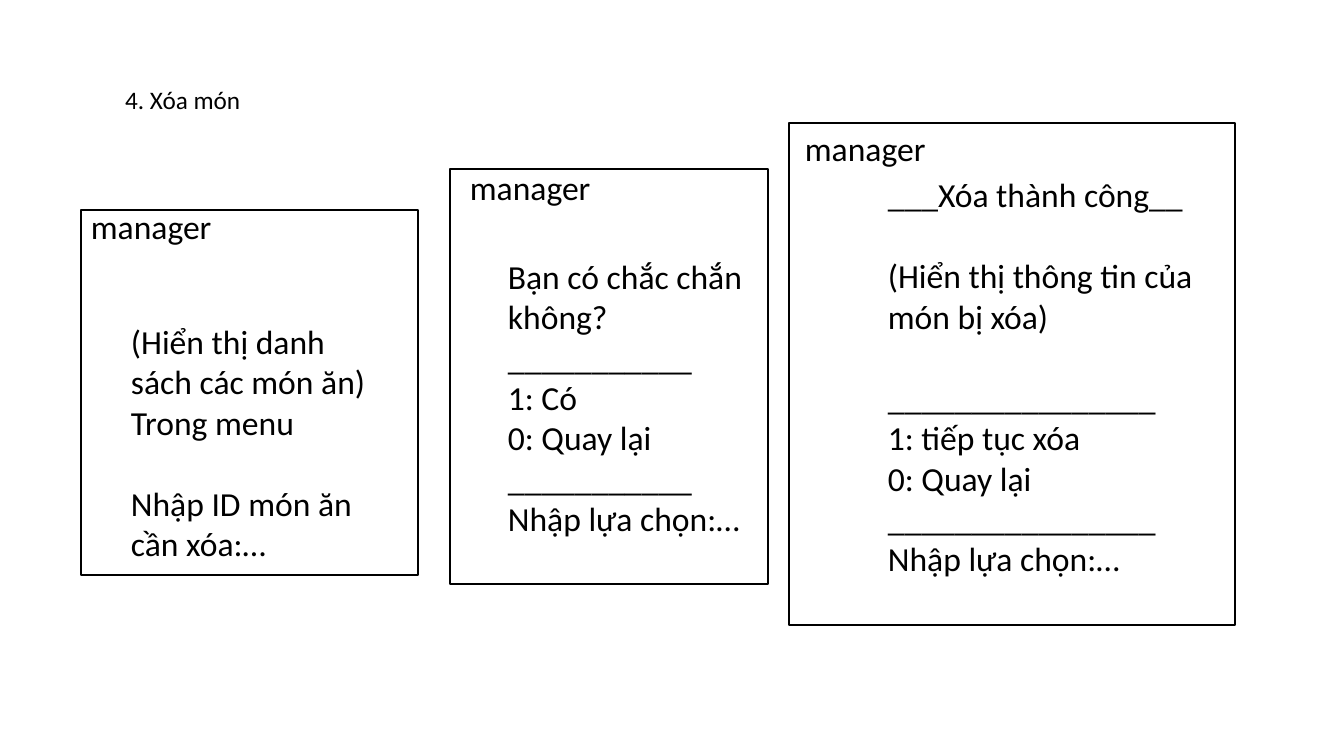
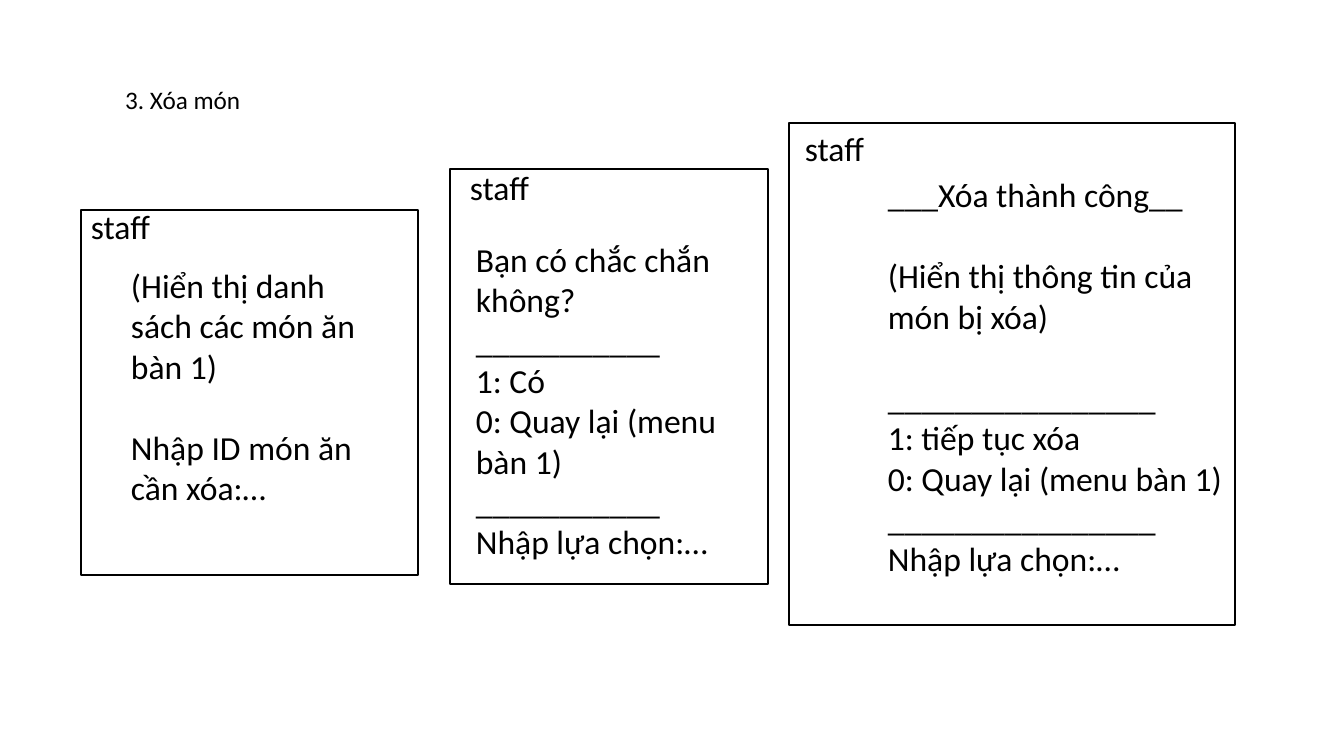
from dataclasses import dataclass
from typing import NamedTuple

from pptx import Presentation
from pptx.dml.color import RGBColor
from pptx.enum import shapes, text
from pptx.util import Emu, Pt

PIXEL = 914400 / 100.8
BLACK = RGBColor(0, 0, 0)
WHITE = RGBColor(255, 255, 255)
FONT = "Calibri"
BODY_SIZE = 24
HEADING_SIZE = 18
LINE_GAP = 29.3
TITLE_ONLY = 5


class Box(NamedTuple):
    """Left, top, width and height in pixels."""
    left: int
    top: int
    width: int
    height: int

    def emu(self) -> list[Emu]:
        """Return the four lengths in EMU."""
        return [Emu(round(length * PIXEL)) for length in self]


class Line(NamedTuple):
    """One paragraph, with an empty line's height above it if spaced."""
    words: str
    spaced: bool = False


@dataclass(frozen=True)
class Screen:
    """A console screen: its frame, the corner of its role, and its message."""
    frame: Box
    role_at: tuple[int, int]
    message_box: Box
    message: list[Line]


@dataclass(frozen=True)
class Flow:
    """The screens one role passes through to delete a dish."""
    heading: str
    role: str
    role_width: int
    screens: list[Screen]


HEADING_BOX = Box(115, 79, 239, 40)
ROLE_HEIGHT = 50
LIST_FRAME = Box(81, 210, 337, 365)
CONFIRM_FRAME = Box(450, 169, 318, 415)
DONE_FRAME = Box(789, 123, 446, 502)


def write(frame, lines: list[Line], *, size: int = BODY_SIZE,
          color: RGBColor = BLACK, wrap: bool = True) -> None:
    """Fill a text frame with left-aligned paragraphs."""
    frame.word_wrap = wrap
    frame.auto_size = text.MSO_AUTO_SIZE.NONE
    frame.vertical_anchor = text.MSO_ANCHOR.TOP
    for index, line in enumerate(lines):
        paragraph = frame.add_paragraph() if index else frame.paragraphs[0]
        paragraph.alignment = text.PP_ALIGN.LEFT
        paragraph.space_before = Pt(LINE_GAP if line.spaced else 0)
        run = paragraph.add_run()
        run.text = line.words
        run.font.name = FONT
        run.font.size = Pt(size)
        run.font.color.rgb = color


def menu(again: str, back: str, rule_length: int, spaced: bool = False) -> list[Line]:
    """Return the two choices between rules, and the prompt below them."""
    rule = "_" * rule_length
    return [Line(rule, spaced), Line(f"1: {again}"), Line(f"0: {back}"),
            Line(rule), Line("Nhập lựa chọn:…")]


def list_screen(top: int, listing: list[str]) -> Screen:
    """Return the screen that lists dishes and asks for an ID."""
    message = [Line(words) for words in listing]
    message.append(Line("Nhập ID món ăn cần xóa:…", spaced=True))
    return Screen(LIST_FRAME, (81, 201), Box(121, top, 271, 254), message)


def confirm_screen(message_box: Box, back: str) -> Screen:
    """Return the screen that asks for confirmation."""
    message = [Line("Bạn có chắc chắn không?"), *menu("Có", back, 11)]
    return Screen(CONFIRM_FRAME, (460, 162), message_box, message)


def done_screen(back: str) -> Screen:
    """Return the screen that reports the deletion."""
    message = [Line("___Xóa thành công__"),
               Line("(Hiển thị thông tin của món bị xóa)", spaced=True),
               *menu("tiếp tục xóa", back, 16, spaced=True)]
    return Screen(DONE_FRAME, (795, 123), Box(878, 169, 357, 417), message)


def draw_screen(slide, screen: Screen, role: str, role_width: int) -> None:
    """Draw a frame with its message and its role."""
    border = slide.shapes.add_shape(shapes.MSO_SHAPE.RECTANGLE, *screen.frame.emu())
    border.shadow.inherit = False
    border.fill.solid()
    border.fill.fore_color.rgb = WHITE
    border.line.color.rgb = BLACK
    border.line.width = Pt(1)
    message = slide.shapes.add_textbox(*screen.message_box.emu())
    write(message.text_frame, screen.message)
    role_box = Box(*screen.role_at, role_width, ROLE_HEIGHT)
    label = slide.shapes.add_textbox(*role_box.emu())
    write(label.text_frame, [Line(role)], wrap=False)


def draw_flow(deck, flow: Flow) -> None:
    """Add one slide with its heading and screens."""
    slide = deck.slides.add_slide(deck.slide_layouts[TITLE_ONLY])
    heading = slide.shapes.title
    heading.left, heading.top, heading.width, heading.height = HEADING_BOX.emu()
    write(heading.text_frame, [Line(flow.heading)], size=HEADING_SIZE)
    for screen in flow.screens:
        draw_screen(slide, screen, flow.role, flow.role_width)


BACK = "Quay lại"
BACK_TO_TABLE = "Quay lại (menu bàn 1)"
FLOWS = [
    Flow("4. Xóa món", "manager", 142, [
        list_screen(316, ["(Hiển thị danh sách các món ăn)", "Trong menu"]),
        confirm_screen(Box(498, 251, 297, 295), BACK),
        done_screen(BACK),
    ]),
    Flow("3. Xóa món", "staff", 81, [
        list_screen(260, ["(Hiển thị danh sách các món ăn bàn 1)"]),
        confirm_screen(Box(466, 234, 297, 336), BACK_TO_TABLE),
        done_screen(BACK_TO_TABLE),
    ]),
]


def main() -> None:
    """Build and save the deck."""
    deck = Presentation()
    _, _, deck.slide_width, deck.slide_height = Box(0, 0, 1344, 756).emu()
    for flow in FLOWS:
        draw_flow(deck, flow)
    deck.save("out.pptx")


main()
